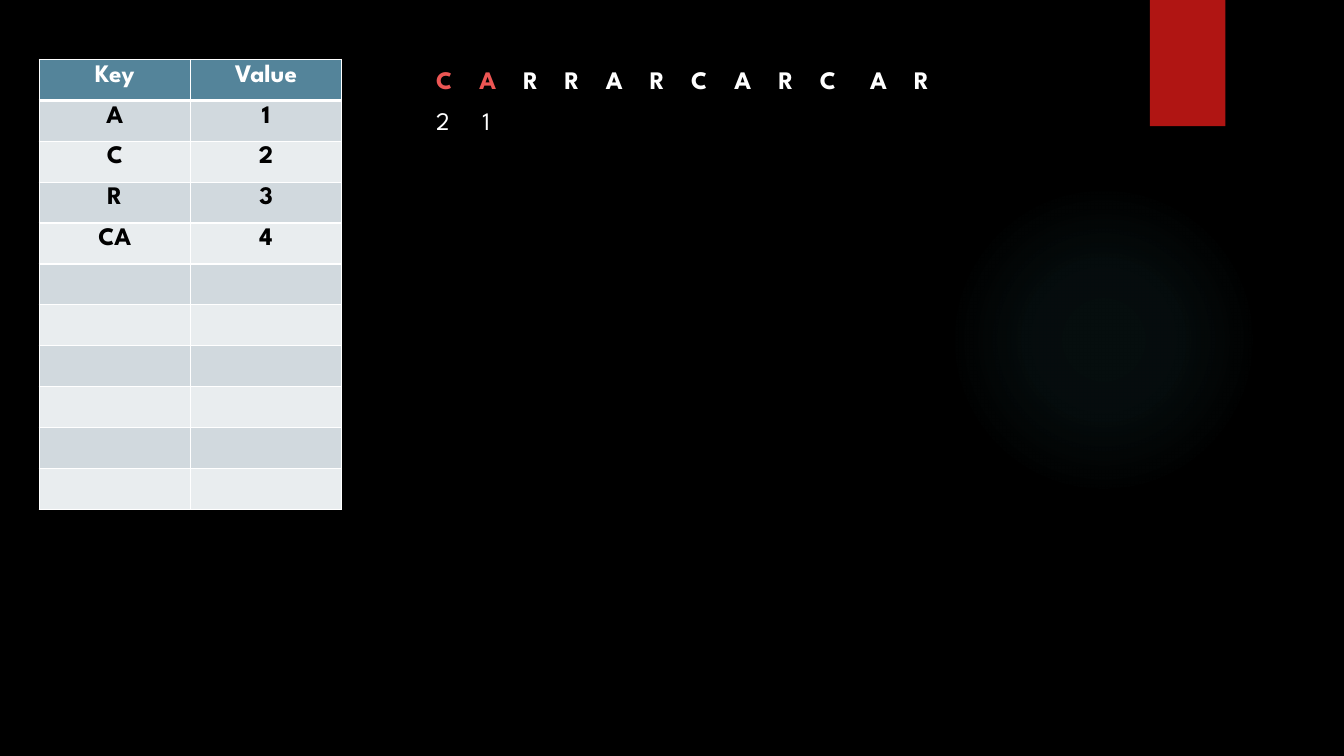
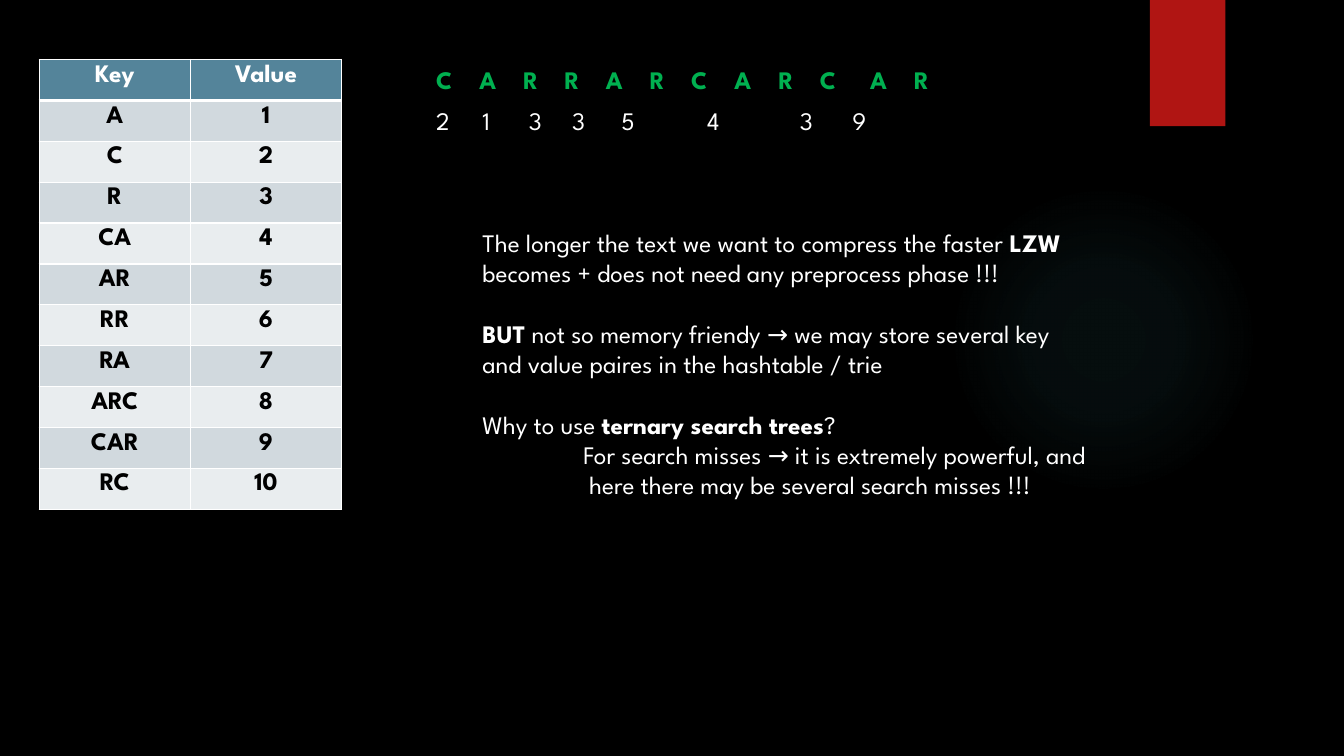
from itertools import accumulate

from lxml import etree
from pptx import Presentation, util as u
from pptx.dml.color import RGBColor
from pptx.enum import shapes, text
from pptx.oxml.ns import qn

FONT = "League Spartan"
WHITE, BLACK, RED, GREEN = "FFFFFF", "000000", "ED5654", "00B050"
HEADER, BANDS = "54849A", ("E9EDEF", "D1D9DE")
GLOW, RIBBON = "50B9C1", "B01513"

# Width each letter takes up in the spread-out message, in cm
MESSAGE = "CARRARCARCAR"
ADVANCE = {"C": 1.09, "A": 1.11, "R": 1.04}
LAST_PHRASE, PHRASE_GAP = 10, 0.18

# Left offset of each output code from the start of the message, in cm
CODE_OFFSETS = (0, 1.17, 2.34, 3.43, 4.67, 6.83, 9.17, 10.49)

# Regions: left, top, width, height in cm
TABLE_BOX = (0.99, 1.5, 7.62, 11.33)
MESSAGE_BOX = (10.74, 1.5, 17.32, 1.02)
CODES_BOX = (10.74, 2.54, 11.36, 1.02)
NOTES_BOX = (11.91, 5.61, 17.98, 7.19)

KEYS = ("A", "C", "R", "CA", "AR", "RR", "RA", "ARC", "CAR", "RC")

# Paragraphs: space before in pt, left indent in cm, (words, bold) runs
NOTES = (
    (0, 0, (("The longer the text we want to compress the faster ", False), ("LZW", True))),
    (0, 0, (("becomes + does not need any preprocess phase !!!", False),)),
    (21.6, 0, (("BUT", True), (" not so memory friendy → we may store several key", False))),
    (0, 0, (("and value paires in the hashtable / trie", False),)),
    (21.6, 0, (("Why to use ", False), ("ternary search trees", True), ("?", False))),
    (0, 2.54, (("For search misses → it is extremely powerful, and", False),)),
    (0, 2.69, (("here there may be several search misses !!!", False),)),
)


def rgb(hex_colour):
    return RGBColor.from_string(hex_colour)


def cm_box(box):
    return [u.Cm(length) for length in box]


def xml(markup):
    """Parse one DrawingML element."""
    namespace = "http://schemas.openxmlformats.org/drawingml/2006/main"
    return etree.fromstring(markup.replace(" ", f' xmlns:a="{namespace}" ', 1))


def add_run(paragraph, words, colour, bold=False):
    run = paragraph.add_run()
    run.text = words
    for name, value in {"name": FONT, "size": u.Pt(18), "bold": bold}.items():
        setattr(run.font, name, value)
    run.font.color.rgb = rgb(colour)


def add_text_frame(slide, box, wrap=True):
    frame = slide.shapes.add_textbox(*cm_box(box)).text_frame
    settings = {"word_wrap": wrap, "auto_size": text.MSO_AUTO_SIZE.SHAPE_TO_FIT_TEXT}
    for name, value in settings.items():
        setattr(frame, name, value)
    return frame


def decorate_layout(prs, layout):
    """Black background, soft glow and red ribbon behind every slide."""
    background = prs.slide_master.background.fill
    background.solid()
    background.fore_color.rgb = rgb(BLACK)

    # Layouts cannot draw shapes, so a slide draws them and hands them over
    slide = prs.slides.add_slide(layout)
    glow = slide.shapes.add_shape(shapes.MSO_SHAPE.OVAL, *cm_box((23.9, 4.65, 7.82, 7.82)))
    ribbon = slide.shapes.add_shape(shapes.MSO_SHAPE.RECTANGLE, *cm_box((28.98, 0, 1.9, 3.18)))
    for part in (glow, ribbon):
        part.shadow.inherit = False
        part.line.fill.background()

    stops = "".join(
        f'<a:gs pos="{position}000"><a:srgbClr val="{GLOW}">'
        f'<a:alpha val="{alpha}000"/></a:srgbClr></a:gs>'
        for position, alpha in ((0, 7), (36, 6), (69, 0)))
    gradient = xml(
        f'<a:gradFill rotWithShape="1"><a:gsLst>{stops}</a:gsLst><a:path path="circle">'
        '<a:fillToRect l="50000" t="50000" r="50000" b="50000"/></a:path></a:gradFill>')
    glow._element.spPr.find(qn("a:prstGeom")).addnext(gradient)

    ribbon.fill.solid()
    ribbon.fill.fore_color.rgb = rgb(RIBBON)
    ribbon._element.spPr.find(qn("a:effectLst")).append(xml(
        f'<a:outerShdw blurRad="{u.Pt(3)}" dist="{u.Pt(2)}" dir="5400000" rotWithShape="0">'
        f'<a:srgbClr val="{BLACK}"><a:alpha val="45000"/></a:srgbClr></a:outerShdw>'))

    for part in (glow, ribbon):
        layout.shapes._spTree.append(part._element)
    return slide


def add_borders(cell, row):
    """White grid with a heavier rule under the header."""
    widths = {"lnL": 1, "lnR": 1, "lnT": 3 if row == 1 else 1, "lnB": 3 if row == 0 else 1}
    for side, width in widths.items():
        cell._tc.get_or_add_tcPr().append(xml(
            f'<a:{side} w="{u.Pt(width)}"><a:solidFill>'
            f'<a:srgbClr val="{WHITE}"/></a:solidFill></a:{side}>'))


def add_dictionary(slide, box, known):
    """Key and value table, filled in for the first known keys."""
    entries = [("Key", "Value")]
    entries += [(key, str(value)) if value <= known else ("", "")
                for value, key in enumerate(KEYS, 1)]
    table = slide.shapes.add_table(len(entries), 2, *cm_box(box)).table
    for row, entry in enumerate(entries):
        table.rows[row].height = u.Cm(box[3] / len(entries))
        for column, words in enumerate(entry):
            cell = table.cell(row, column)
            add_borders(cell, row)
            cell.fill.solid()
            cell.fill.fore_color.rgb = rgb(BANDS[row % 2] if row else HEADER)
            if words:
                paragraph = cell.text_frame.paragraphs[0]
                paragraph.alignment = text.PP_ALIGN.CENTER
                add_run(paragraph, words, BLACK if row else WHITE, True)


def add_message(slide, box, done, done_colour):
    """Message letters on tab stops, the first done ones highlighted."""
    paragraph = add_text_frame(slide, box).paragraphs[0]
    advances = [ADVANCE[letter] + (PHRASE_GAP if place == LAST_PHRASE else 0)
                for place, letter in enumerate(MESSAGE[:-1], 1)]
    stops = "".join(f'<a:tab pos="{u.Cm(stop)}" algn="l"/>' for stop in accumulate(advances))
    paragraph._p.get_or_add_pPr().append(xml(f'<a:tabLst >{stops}</a:tabLst>'))
    add_run(paragraph, "\t".join(MESSAGE[:done]), done_colour, True)
    if done < len(MESSAGE):
        add_run(paragraph, "\t" + "\t".join(MESSAGE[done:]), WHITE, True)


def add_codes(slide, box, codes):
    left, top, _, height = box
    for offset, code in zip(CODE_OFFSETS, codes):
        frame = add_text_frame(slide, (left + offset, top, 0.87, height), wrap=False)
        add_run(frame.paragraphs[0], code, WHITE)


def add_notes(slide, box):
    frame = add_text_frame(slide, box)
    for number, (space, indent, runs) in enumerate(NOTES):
        paragraph = frame.add_paragraph() if number else frame.paragraphs[0]
        paragraph.space_before = u.Pt(space)
        paragraph._p.get_or_add_pPr().set("marL", str(u.Cm(indent)))
        for words, bold in runs:
            add_run(paragraph, words, WHITE, bold)


def fill_step(slide, known, codes, done, done_colour):
    """One step of the compression: codes, message and dictionary."""
    add_codes(slide, CODES_BOX, codes)
    add_message(slide, MESSAGE_BOX, done, done_colour)
    add_dictionary(slide, TABLE_BOX, known)


def main():
    prs = Presentation()
    prs.slide_width, prs.slide_height = u.Cm(33.87), u.Cm(19.05)
    blank = prs.slide_layouts[6]

    # Second phrase being read
    early_step = decorate_layout(prs, blank)
    fill_step(early_step, 4, "21", 2, RED)

    # Whole message compressed
    final_step = prs.slides.add_slide(blank)
    fill_step(final_step, 10, "21335439", len(MESSAGE), GREEN)
    add_notes(final_step, NOTES_BOX)

    prs.save("out.pptx")


if __name__ == "__main__":
    main()
